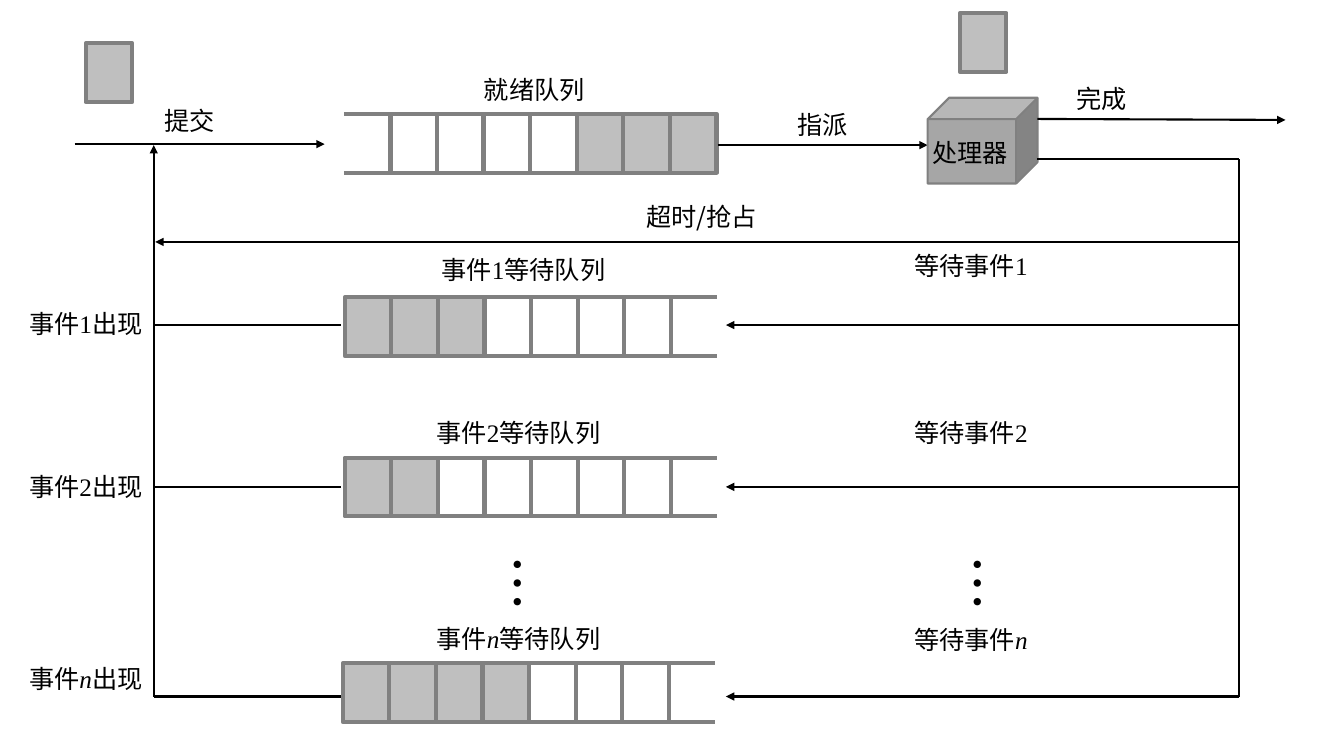
from dataclasses import dataclass

from lxml import etree
from pptx import Presentation
from pptx.dml.color import RGBColor
from pptx.enum.shapes import MSO_CONNECTOR, MSO_SHAPE
from pptx.enum.text import MSO_AUTO_SIZE
from pptx.oxml.ns import qn
from pptx.util import Inches, Pt

RECT, CUBE = MSO_SHAPE.RECTANGLE, MSO_SHAPE.CUBE
STRAIGHT = MSO_CONNECTOR.STRAIGHT
FIT_SHAPE = MSO_AUTO_SIZE.SHAPE_TO_FIT_TEXT

CJK, LATIN = "Noto Sans CJK SC", "Times New Roman"
BLACK, EDGE, OCCUPIED, METAL = "000000", "808080", "BFBFBF", "A6A6A6"

# Grid: ten columns and ten rows to the inch
UNITS_PER_INCH = 10
SLOT_PITCH, SLOT_HEIGHT, SLOTS = 4.62, 5.83, 7
LABEL_HEIGHT = 4
RETURN_X, WAIT_X = 15.25, 122.9  # vertical lines on both sides


@dataclass
class EventRow:
    event: str
    queue_left: float
    queue_top: float
    occupied: int
    flow_y: float
    title_at: tuple
    wait_top: float
    occurs_top: float


EVENT_ROWS = [
    EventRow("1", 34.2, 29.5, 3, 32.25, (42.8, 24.7), 24.3, 30.1),
    EventRow("2", 34.2, 45.4, 2, 48.3, (42.3, 40.9), 40.9, 46.3),
    EventRow("n", 34, 65.8, 4, 69.1, (42.3, 61.3), 61.4, 65.3),
]


def grid(*units):
    return [Inches(unit / UNITS_PER_INCH) for unit in units]


def color(hex_value):
    return RGBColor.from_string(hex_value)


def block(slide, left, top, width, height, fill, kind=RECT, weight=3):
    shape = slide.shapes.add_shape(kind, *grid(left, top, width, height))
    shape.shadow.inherit = False
    if fill:
        shape.fill.solid()
        shape.fill.fore_color.rgb = color(fill)
    else:
        shape.fill.background()
    shape.line.color.rgb = color(EDGE)
    shape.line.width = Pt(weight)


def process(slide, left, top):
    block(slide, left, top, SLOT_PITCH, SLOT_HEIGHT, OCCUPIED)


def flow(slide, start, end, arrow=True, stroke=BLACK, weight=1.5):
    connector = slide.shapes.add_connector(STRAIGHT, *grid(*start, *end))
    connector.line.color.rgb = color(stroke)
    connector.line.width = Pt(weight)
    properties = connector.element.spPr
    if arrow:
        outline = properties.find(qn("a:ln"))
        etree.SubElement(outline, qn("a:tailEnd"), type="triangle")
    etree.SubElement(properties, qn("a:effectLst"))


def label(slide, left, top, width, *runs, height=LABEL_HEIGHT, size=18, vertical=False):
    """Each run is a text, or a (text, font, italic) tuple."""
    box = slide.shapes.add_textbox(*grid(left, top, width, height))
    frame = box.text_frame
    for name, value in {"word_wrap": True, "auto_size": FIT_SHAPE}.items():
        setattr(frame, name, value)
    if vertical:
        box.element.txBody.bodyPr.set("vert", "eaVert")
    for item in runs:
        text, face, italic = (item, CJK, False) if isinstance(item, str) else item
        run = frame.paragraphs[0].add_run()
        run.text = text
        look = {"name": face, "size": Pt(size), "italic": italic}
        for name, value in look.items():
            setattr(run.font, name, value)
        run.font.color.rgb = color(BLACK)
        etree.SubElement(run.font._element, qn("a:ea"), typeface=CJK)


def queue(slide, left, top, occupied, open_left=False):
    """Seven slots filled from the closed end, plus one open slot."""
    first = left + SLOT_PITCH if open_left else left
    for index in range(SLOTS):
        from_closed_end = SLOTS - 1 - index if open_left else index
        fill = OCCUPIED if from_closed_end < occupied else None
        block(slide, first + index * SLOT_PITCH, top, SLOT_PITCH, SLOT_HEIGHT, fill)
    open_x = left if open_left else left + SLOTS * SLOT_PITCH
    for y in (top, top + SLOT_HEIGHT):
        flow(slide, (open_x, y), (open_x + SLOT_PITCH, y), False, EDGE, 3)


def event_row(slide, row):
    number = (row.event, LATIN, row.event == "n")
    queue(slide, row.queue_left, row.queue_top, row.occupied)
    flow(slide, (WAIT_X, row.flow_y), (72, row.flow_y))
    flow(slide, (RETURN_X, row.flow_y), (33.8, row.flow_y), arrow=False)
    label(slide, *row.title_at, 23.9, "事件", number, "等待队列")
    label(slide, 89.7, row.wait_top, 14.6, "等待事件", number)
    label(slide, 1.9, row.occurs_top, 14.3, "事件", number, ("出现", LATIN, False))


def main():
    deck = Presentation()
    deck.slide_width, deck.slide_height = Inches(13.33), Inches(7.5)
    slide = deck.slides.add_slide(deck.slide_layouts[6])

    # Submission, ready queue and dispatch
    process(slide, 8.5, 4.3)
    flow(slide, (7.4, 14.3), (32.2, 14.3))
    label(slide, 15.3, 10, 7.8, "提交")
    queue(slide, 34.1, 11.3, 3, open_left=True)
    label(slide, 47, 6.9, 14.8, "就绪队列")
    flow(slide, (71.2, 14.4), (92, 14.4))
    label(slide, 78.1, 10.4, 7.8, "指派")

    # Processor and completion
    process(slide, 95.2, 1.3)
    block(slide, 92, 9.7, 10.9, 8.5, METAL, CUBE, 1.5)
    label(slide, 91.5, 13.1, 10, "处理器")
    flow(slide, (102.9, 11.8), (127.5, 11.9))
    label(slide, 105.8, 7.8, 7.8, "完成")

    # Timeout and the lines that join all event queues
    flow(slide, (102.9, 15.8), (WAIT_X, 15.8), arrow=False)
    flow(slide, (WAIT_X, 15.8), (WAIT_X, 69.1), arrow=False)
    flow(slide, (RETURN_X, 69.1), (RETURN_X, 14.4))
    flow(slide, (WAIT_X, 24), (15.4, 24))
    label(slide, 63.1, 19.5, 14.8, "超时/抢占")

    # Event queues, with dots for those left out
    for row in EVENT_ROWS:
        event_row(slide, row)
    for left in (46.5, 92.1):
        label(slide, left, 54.1, 8.8, "…", height=4.4, size=40, vertical=True)

    deck.save("out.pptx")


if __name__ == "__main__":
    main()
